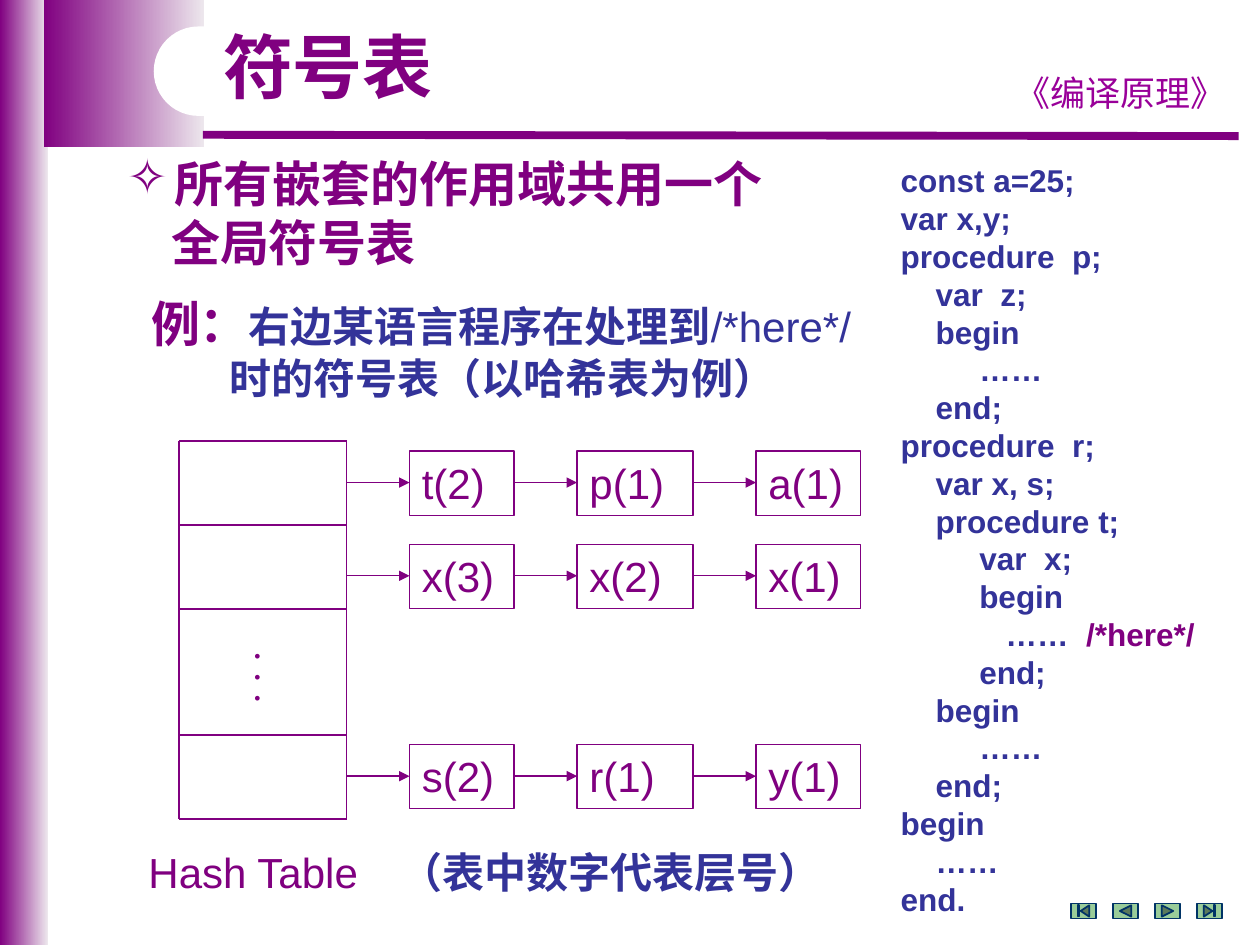
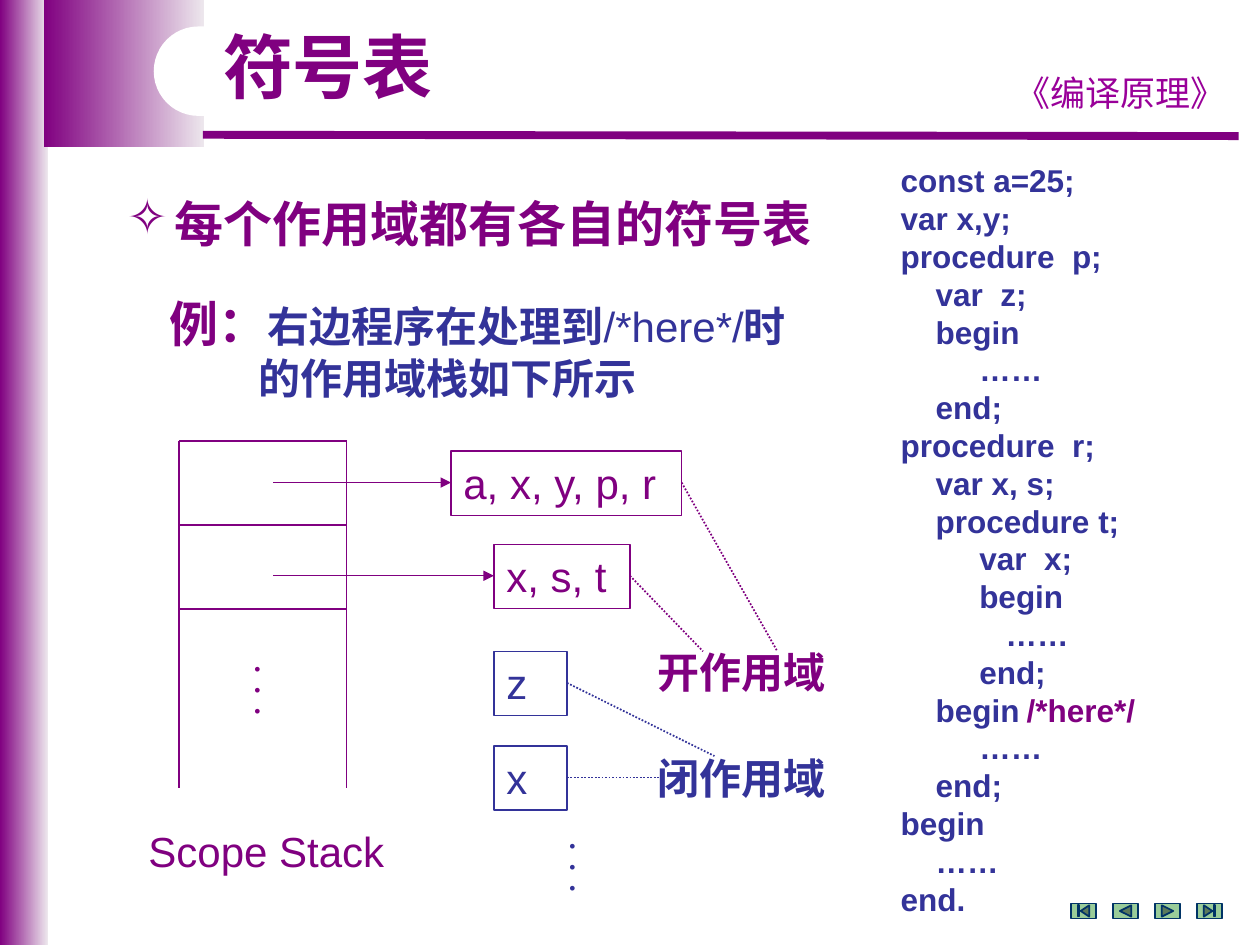
from lxml.etree import SubElement
from pptx import Presentation
from pptx.dml.color import RGBColor
from pptx.enum.dml import MSO_LINE
from pptx.enum.shapes import MSO_CONNECTOR, MSO_SHAPE
from pptx.enum.text import MSO_ANCHOR, PP_ALIGN
from pptx.oxml.ns import qn
from pptx.util import Inches, Pt

PURPLE, BLUE, MAGENTA = "800080", "333399", "990099"
PALE, WHITE, GREEN, NAVY = "EDE7ED", "FFFFFF", "99CC99", "003366"
LATIN, CHINESE = "Arial", "Noto Sans CJK SC"
HERE = "/*here*/"

ROW = 2 / 3
CELL_WIDTH = 1.33
NODE_HEIGHT = 0.51
NODE_MIDDLE = 0.25

PROGRAM = """const a=25;
var x,y;
procedure  p;
    var  z;
    begin
         ……
    end;
procedure  r;
    var x, s;
    procedure t;
         var  x;
         begin
            ……
         end;
    begin
         ……
    end;
begin
    ……
end.""".split("\n")


def rgb(color):
    return RGBColor.from_string(color)


def inches(*lengths):
    return [Inches(length) for length in lengths]


def format_run(run, size, color, bold=False, font=LATIN):
    run.font.size = Pt(size)
    run.font.bold = bold
    run.font.name = font
    run.font.color.rgb = rgb(color)
    SubElement(run.font._element, qn("a:ea"), typeface=CHINESE)


def write(paragraph, runs, margin=0, bullet=None, tab=None):
    """Fill a paragraph with (text, size, color, bold) runs; margin and tab in inches."""
    properties = paragraph._p.get_or_add_pPr()
    properties.set("marL", str(Inches(margin)))
    properties.set("indent", str(-Inches(margin) if bullet else 0))
    if bullet:
        bullet_color = SubElement(properties, qn("a:buClr"))
        SubElement(bullet_color, qn("a:srgbClr"), val=PURPLE)
        SubElement(properties, qn("a:buChar"), char=bullet)
    if tab:
        tabs = SubElement(properties, qn("a:tabLst"))
        SubElement(tabs, qn("a:tab"), pos=str(Inches(tab)), algn="l")
    for text, *style in runs:
        run = paragraph.add_run()
        run.text = text
        format_run(run, *style)


def add_text(slide, left, top, width, height, wrap=True):
    frame = slide.shapes.add_textbox(*inches(left, top, width, height)).text_frame
    frame.word_wrap = wrap
    return frame


def add_plain_shape(slide, kind, box, fill=None, line=None, line_width=0.75):
    shape = slide.shapes.add_shape(kind, *inches(*box))
    shape.shadow.inherit = False
    if fill:
        shape.fill.solid()
        shape.fill.fore_color.rgb = rgb(fill)
    else:
        shape.fill.background()
    if line:
        shape.line.color.rgb = rgb(line)
        shape.line.width = Pt(line_width)
    else:
        shape.line.fill.background()
    return shape


def add_line(slide, start, end, color=PURPLE, width=0.75, dotted=False, arrow=False):
    line = slide.shapes.add_connector(MSO_CONNECTOR.STRAIGHT, *inches(*start, *end))
    line.line.color.rgb = rgb(color)
    line.line.width = Pt(width)
    if dotted:
        line.line.dash_style = MSO_LINE.ROUND_DOT
    outline = line.element.spPr
    if arrow:
        SubElement(outline.find(qn("a:ln")), qn("a:tailEnd"), type="triangle")
    SubElement(outline, qn("a:effectLst"))
    return line


def add_gradient_band(slide, *box):
    band = add_plain_shape(slide, MSO_SHAPE.RECTANGLE, box)
    band.fill.gradient()
    band.fill.gradient_angle = 0
    for stop, color, position in zip(band.fill.gradient_stops, (PURPLE, PALE), (0, 1)):
        stop.color.rgb = rgb(color)
        stop.position = position


def move_backdrop_to_layout(slide):
    """Draw the shared bands and course name, then hand them to the slide's layout."""
    add_gradient_band(slide, 0, 0, 0.38, 7.5)
    add_gradient_band(slide, 0.35, 0, 1.27, 1.17)
    add_line(slide, (1.61, 1.07), (9.83, 1.08), width=4.5)
    course = add_text(slide, 7.91, 0.52, 1.97, 0.43).paragraphs[0]
    write(course, [("《编译原理》", 20, MAGENTA, False, CHINESE)])
    course.alignment = PP_ALIGN.CENTER
    pill = add_plain_shape(slide, MSO_SHAPE.ROUNDED_RECTANGLE,
                           (1.22, 0.21, 3.62, 0.71), WHITE)
    pill.adjustments[0] = 0.5
    backdrop = [shape for shape in slide.shapes if not shape.is_placeholder]
    for number, shape in enumerate(backdrop, 101):
        shape.element.xpath(".//p:cNvPr")[0].set("id", str(number))
        slide.slide_layout.shapes.element.append(shape.element)


def add_title(slide, text):
    title = slide.shapes.title
    title.left, title.top, title.width, title.height = inches(1.67, 0.21, 2, 0.7)
    frame = title.text_frame
    frame.text = text
    frame.vertical_anchor = MSO_ANCHOR.TOP
    frame.paragraphs[0].alignment = PP_ALIGN.LEFT
    frame.paragraphs[0].line_spacing = 0.9
    format_run(frame.paragraphs[0].runs[0], 40, PURPLE, True, CHINESE)


def add_program(slide, left, top, here_line, gap, tab=None):
    """List the program, with the marker after the given line."""
    frame = add_text(slide, left, top, 2.84, 6.11)
    for number, code in enumerate(PROGRAM):
        paragraph = frame.add_paragraph() if number else frame.paragraphs[0]
        runs = [(code, 18, BLUE, True)]
        marked = number == here_line
        if marked:
            runs = [(code + gap, 18, BLUE, True), (HERE, 18, PURPLE, True)]
        write(paragraph, runs, tab=tab if marked else None)
        paragraph.line_spacing = 0.8
        if number:
            paragraph.space_before = Pt(4.3)


def add_statement(slide, left, top, first, *others):
    frame = add_text(slide, left, top, 5.84, 0.57 + 0.46 * len(others))
    write(frame.paragraphs[0], [(first, 28, PURPLE, True)], 0.38, bullet="✧")
    for text in others:
        write(frame.add_paragraph(), [(text, 28, PURPLE, True)], 0.35)


def add_example(slide, left, top, width, before, after, second, second_margin):
    frame = add_text(slide, left, top, width, 0.97)
    runs = [("例：", 28, PURPLE, True), (before, 24, BLUE, True), (HERE, 24, BLUE)]
    if after:
        runs.append((after, 24, BLUE, True))
    write(frame.paragraphs[0], runs, 0.35)
    write(frame.add_paragraph(), [(second, 24, BLUE, True)], second_margin)


def add_vertical_dots(slide, left, top, color=PURPLE):
    write(add_text(slide, left, top, 0.25, 0.6).paragraphs[0], [("•••", 10, color)])


def add_cells(slide, left, top, height, rules, dots):
    """Draw two side lines, the row rules and the dots, all offset from the top left."""
    right = left + CELL_WIDTH
    for x in (left, right):
        add_line(slide, (x, top), (x, top + height))
    for rule in rules:
        add_line(slide, (left, top + rule), (right, top + rule))
    add_vertical_dots(slide, left + 0.5, top + dots)


def add_node(slide, left, top, width, text, color=PURPLE):
    node = add_plain_shape(slide, MSO_SHAPE.RECTANGLE,
                           (left, top, width, NODE_HEIGHT), line=color)
    node.text_frame.vertical_anchor = MSO_ANCHOR.TOP
    paragraph = node.text_frame.paragraphs[0]
    write(paragraph, [(text, 24, color)])
    paragraph.alignment = PP_ALIGN.LEFT


def add_hash_table(slide, left, top):
    add_cells(slide, left, top, 3, (0, ROW, 2 * ROW, 3.5 * ROW, 4.5 * ROW), 1.57)
    columns = ((1.83, 0.83), (3.16, 0.92), (4.58, 0.83))
    chains = {0.08: ("t(2)", "p(1)", "a(1)"),
              0.82: ("x(3)", "x(2)", "x(1)"),
              2.41: ("s(2)", "r(1)", "y(1)")}
    for offset, names in chains.items():
        y = top + offset
        previous = left + CELL_WIDTH
        for (column, width), name in zip(columns, names):
            x = left + column
            add_node(slide, x, y, width, name)
            add_line(slide, (previous, y + NODE_MIDDLE), (x, y + NODE_MIDDLE), arrow=True)
            previous = x + width
    caption = add_text(slide, left - 0.34, top + 3.17, 5.71, 0.5).paragraphs[0]
    write(caption, [("Hash Table\t", 24, PURPLE),
                    ("（表中数字代表层号）", 24, BLUE, True)], tab=2.21)


def add_scope_stack(slide, left, top):
    add_cells(slide, left, top, 2.75, (0, ROW, 2 * ROW), 1.67)
    # node left, top, width, name, color, end of its dotted line
    scopes = ((2.16, 0.08, 1.83, "a, x, y, p, r", PURPLE, (4.75, 1.67)),
              (2.5, 0.82, 1.08, "x, s, t", PURPLE, (4.16, 1.67)),
              (2.5, 1.67, 0.58, "z", BLUE, (4.25, 2.5)),
              (2.5, 2.42, 0.58, "x", BLUE, (3.83, 2.67)))
    for x, y, width, name, color, (label_x, label_y) in scopes:
        middle = top + y + NODE_MIDDLE
        add_node(slide, left + x, top + y, width, name, color)
        if color == PURPLE:
            add_line(slide, (left + 0.75, middle), (left + x, middle), arrow=True)
        add_line(slide, (left + x + width, middle),
                 (left + label_x, top + label_y), color, 1, dotted=True)
    for y, label, color in ((1.58, "开作用域", PURPLE), (2.42, "闭作用域", BLUE)):
        frame = add_text(slide, left + 3.7, top + y, 1.54, 0.5, wrap=False)
        write(frame.paragraphs[0], [(label, 24, color, True)])
    add_vertical_dots(slide, left + 3, top + 3.08, BLUE)
    caption = add_text(slide, left - 0.34, top + 3, 2.09, 0.5, wrap=False)
    write(caption.paragraphs[0], [("Scope Stack", 24, PURPLE)])


def add_navigation(slide, left, top):
    buttons = (MSO_SHAPE.ACTION_BUTTON_BEGINNING,
               MSO_SHAPE.ACTION_BUTTON_BACK_OR_PREVIOUS,
               MSO_SHAPE.ACTION_BUTTON_FORWARD_OR_NEXT,
               MSO_SHAPE.ACTION_BUTTON_END)
    for position, button in enumerate(buttons):
        add_plain_shape(slide, button, (left + position / 3, top, 0.2, 0.12),
                        GREEN, NAVY, 1)


def build_global_table_slide(slide):
    add_program(slide, 7.05, 1.29, here_line=12, gap="  ")
    add_example(slide, 0.75, 2.28, 6.38, "右边某语言程序在处理到", "",
                "时的符号表（以哈希表为例）", 0.97)
    add_statement(slide, 0.91, 1.17, "所有嵌套的作用域共用一个", "全局符号表")
    add_hash_table(slide, 1.42, 3.5)


def build_scope_stack_slide(slide):
    add_program(slide, 7.05, 1.29, here_line=14, gap="\t", tab=1.57)
    add_example(slide, 0.9, 2.28, 5.76, "右边程序在处理到", "时",
                "的作用域栈如下所示", 1.05)
    add_statement(slide, 0.91, 1.49, "每个作用域都有各自的符号表")
    add_scope_stack(slide, 1.42, 3.5)


def main():
    deck = Presentation()
    deck.slide_width, deck.slide_height = inches(10, 7.5)
    title_only = deck.slide_layouts[5]
    for number, build in enumerate((build_global_table_slide, build_scope_stack_slide)):
        slide = deck.slides.add_slide(title_only)
        if number == 0:
            move_backdrop_to_layout(slide)
        add_title(slide, "符号表")
        build(slide)
        add_navigation(slide, 8.5, 7.17)
    deck.save("out.pptx")


if __name__ == "__main__":
    main()
